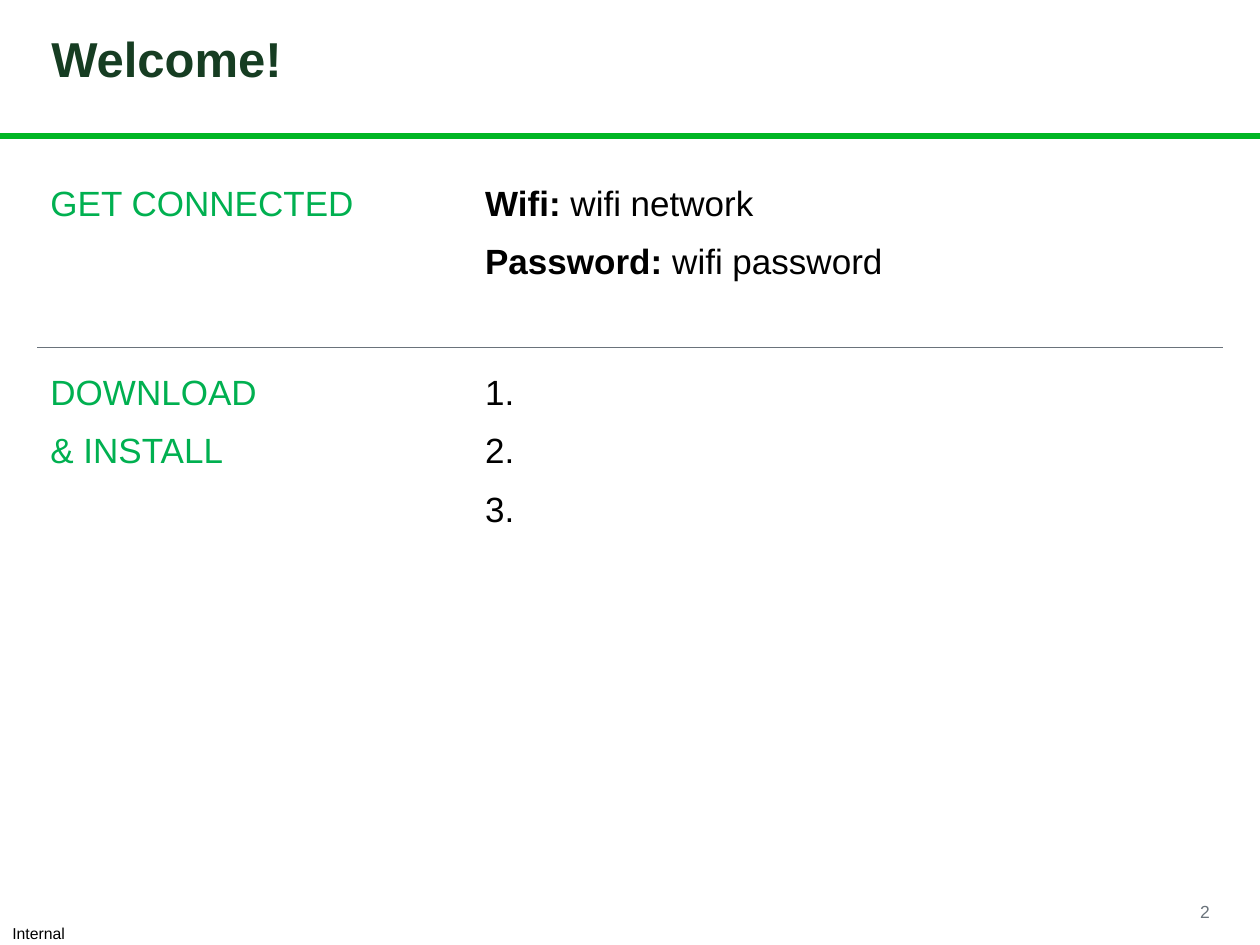
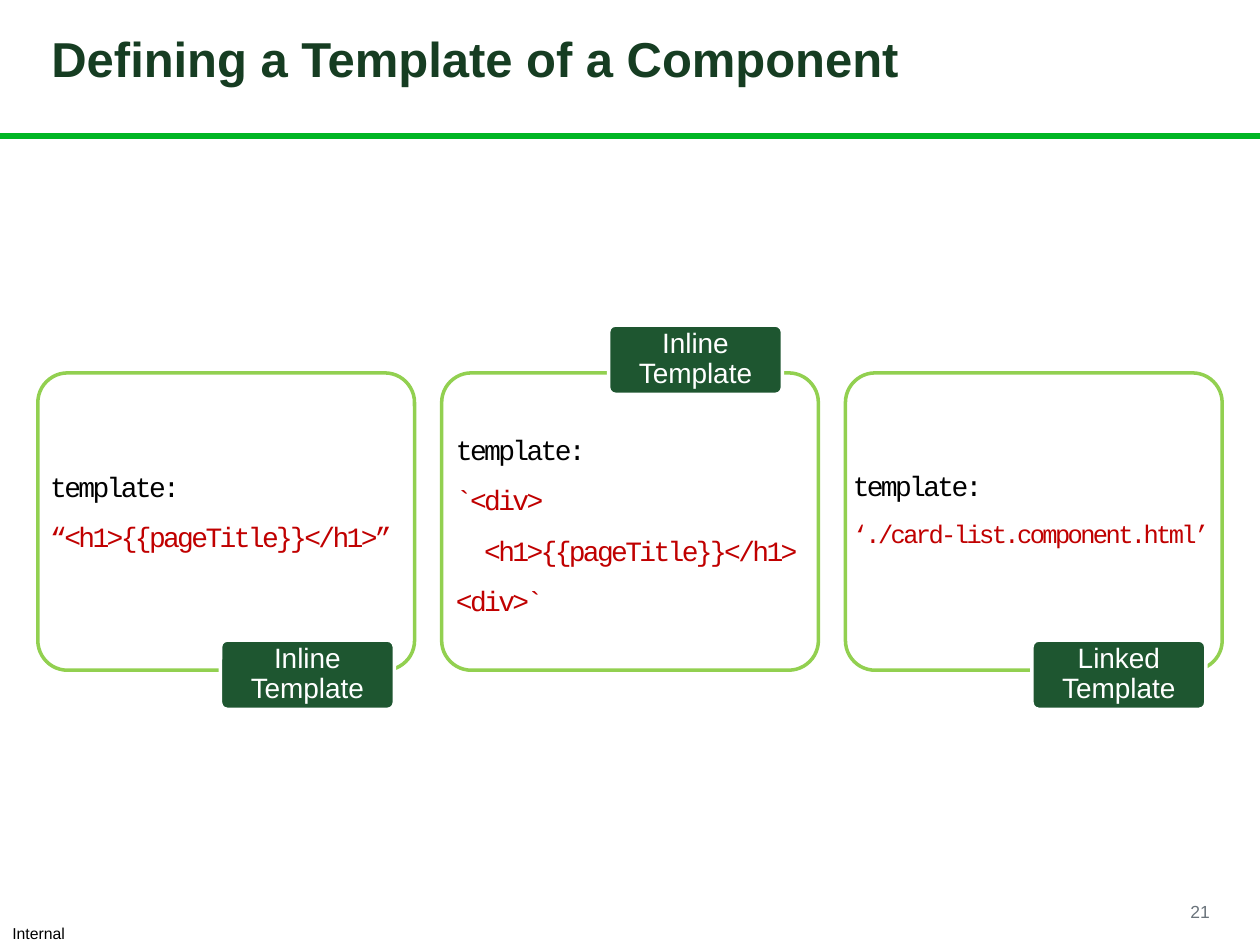
from lxml import etree
from pptx import Presentation
from pptx.dml.color import RGBColor
from pptx.enum.shapes import MSO_CONNECTOR, MSO_SHAPE
from pptx.enum.text import MSO_ANCHOR, PP_ALIGN
from pptx.oxml.ns import qn
from pptx.util import Inches, Pt

LINE = MSO_CONNECTOR.STRAIGHT
ROUND = MSO_SHAPE.ROUNDED_RECTANGLE
MIDDLE, TOP = MSO_ANCHOR.MIDDLE, MSO_ANCHOR.TOP
LEFT, RIGHT, CENTER = PP_ALIGN.LEFT, PP_ALIGN.RIGHT, PP_ALIGN.CENTER

BLACK, WHITE, GREY, RED = "000000", "FFFFFF", "6A737B", "C00000"
BAND, DARK, LABEL, HEAD, LIME = "00B624", "163D22", "1E5630", "00B050", "92D050"
SANS, MONO = "Arial", "Courier New"

# A paragraph is a list of runs; a run is (text, style).
PLAIN, BOLD = {"color": BLACK}, {"color": BLACK, "bold": True}
GREEN = {"color": HEAD}
CODE = {"size": 16, "font": MONO, "spc": -1.5, "color": BLACK}
VALUE = {**CODE, "color": RED}
SMALL = {**VALUE, "size": 14.5}
ITEM = [(" ", {**PLAIN, "number": True})]  # numbered line still to be filled in

WELCOME = [
    ([[("GET CONNECTED", GREEN)]],
     [[("Wifi: ", BOLD), ("wifi network", PLAIN)],
      [("Password: ", BOLD), ("wifi password", PLAIN)]]),
    ([[("DOWNLOAD", GREEN)], [("& INSTALL", GREEN)]],
     [ITEM] * 3),
]
COLS, ROWS = (3.45, 5.95), (1.5, 1.58)

# label, label place, code place, code lines
CARDS = [
    ("Inline Template", (1.75, 5.08), (0.3, 3.54, 2.95, 0.88),
     [("template:", CODE), ("“<h1>{{pageTitle}}</h1>”", VALUE)]),
    ("Inline Template", (4.83, 2.58), (3.52, 3.25, 2.95, 1.68),
     [("template:", CODE), ("`<div>", VALUE),
      ("  <h1>{{pageTitle}}</h1>", VALUE), ("<div>`", VALUE)]),
    ("Linked Template", (8.19, 5.08), (6.67, 3.54, 3.03, 0.87),
     [("template:", CODE), ("‘./card-list.component.html’", SMALL)]),
]
CARD_W, CARD_H, CARD_TOP = 2.99, 2.36, 2.96
EDGE, WIDE = 0.3, 9.4
STEP = (WIDE - CARD_W) / (len(CARDS) - 1)


def rgb(code):
    return RGBColor.from_string(code)


def place(*nums):
    return [Inches(n) for n in nums]


def number(para):
    """Number a paragraph with a hanging indent."""
    props = para._p.get_or_add_pPr()
    props.set("marL", str(Inches(0.36)))
    props.set("indent", str(-Inches(0.36)))
    etree.SubElement(props, qn("a:buFont"), typeface="+mj-lt")
    etree.SubElement(props, qn("a:buAutoNum"), type="arabicPeriod")


def write(frame, paras, align=LEFT, space=1.0):
    """Fill a text frame or cell frame with paragraphs of styled runs."""
    for i, runs in enumerate(paras):
        para = frame.add_paragraph() if i else frame.paragraphs[0]
        para.alignment, para.line_spacing = align, space
        if runs[0][1].get("number"):
            number(para)
        for text, style in runs:
            run = para.add_run()
            run.text = text
            font = run.font
            font.name = style.get("font", SANS)
            font.size = Pt(style.get("size", 20))
            font.bold = style.get("bold", False)
            font.color.rgb = rgb(style["color"])
            if "spc" in style:
                run._r.get_or_add_rPr().set("spc", str(int(style["spc"] * 100)))


def add_text(slide, box, paras, align=LEFT, space=1.0, anchor=TOP):
    frame = slide.shapes.add_textbox(*place(*box)).text_frame
    frame.word_wrap = True
    frame.vertical_anchor = anchor
    write(frame, paras, align, space)


def add_round(slide, box, fill, line):
    shape = slide.shapes.add_shape(ROUND, *place(*box))
    shape.shadow.inherit = False
    shape.adjustments[0] = 0.1
    shape.fill.solid()
    shape.fill.fore_color.rgb = rgb(fill)
    shape.line.color.rgb = rgb(line)
    shape.line.width = Pt(2)
    return shape


def add_base(deck, title, num):
    """Add a slide with its title, green band and footer."""
    slide = deck.slides.add_slide(deck.slide_layouts[6])
    band = slide.shapes.add_connector(LINE, *place(0, 1.08, 10, 1.08))
    band.line.color.rgb = rgb(BAND)
    band.line.width = Pt(3.5)
    etree.SubElement(band._element.spPr, qn("a:effectLst"))
    add_text(slide, (0, 7.28, 10, 0.25),
             [[("Internal", {"size": 9, "color": BLACK})]])
    add_text(slide, (0.31, 0.07, 8.57, 0.86),
             [[(title, {"size": 28, "color": DARK, "bold": True})]],
             space=0.85, anchor=MIDDLE)
    add_text(slide, (8.99, 7.1, 0.71, 0.24),
             [[(num, {"size": 10, "color": GREY})]], RIGHT)
    return slide


def add_rule(cell, side):
    """Draw a thin grey border on one side of a cell."""
    line = etree.Element(qn("a:" + side), w=str(Pt(1)))
    fill = etree.SubElement(line, qn("a:solidFill"))
    etree.SubElement(fill, qn("a:srgbClr"), val=GREY)
    cell._tc.get_or_add_tcPr().insert(0, line)


def add_welcome(deck):
    slide = add_base(deck, "Welcome!", "2")
    table = slide.shapes.add_table(
        len(ROWS), len(COLS), *place(EDGE, 1.26, WIDE, sum(ROWS))).table
    table.first_row = table.horz_banding = False
    for col, width in zip(table.columns, COLS):
        col.width = Inches(width)
    for r, (row, high) in enumerate(zip(WELCOME, ROWS)):
        table.rows[r].height = Inches(high)
        for c, paras in enumerate(row):
            cell = table.cell(r, c)
            cell.fill.background()
            write(cell.text_frame, paras, space=1.5)
            add_rule(cell, "lnT" if r else "lnB")


def add_cards(deck):
    slide = add_base(deck, "Defining a Template of a Component", "21")
    for i, (label, spot, box, code) in enumerate(CARDS):
        add_round(slide, (EDGE + i * STEP, CARD_TOP, CARD_W, CARD_H), WHITE, LIME)
        tag = add_round(slide, (*spot, 1.38, 0.55), LABEL, WHITE)
        frame = tag.text_frame
        frame.word_wrap = True
        frame.vertical_anchor = MIDDLE
        frame.margin_left = frame.margin_right = Inches(0.05)
        frame.margin_top = frame.margin_bottom = Inches(0.04)
        write(frame, [[(label, {"size": 16, "color": WHITE})]], CENTER, 0.9)
        add_text(slide, box, [[run] for run in code], space=1.5)


def main():
    deck = Presentation()
    deck.slide_width, deck.slide_height = place(10, 7.5)
    add_welcome(deck)
    add_cards(deck)
    deck.save("out.pptx")


if __name__ == "__main__":
    main()
